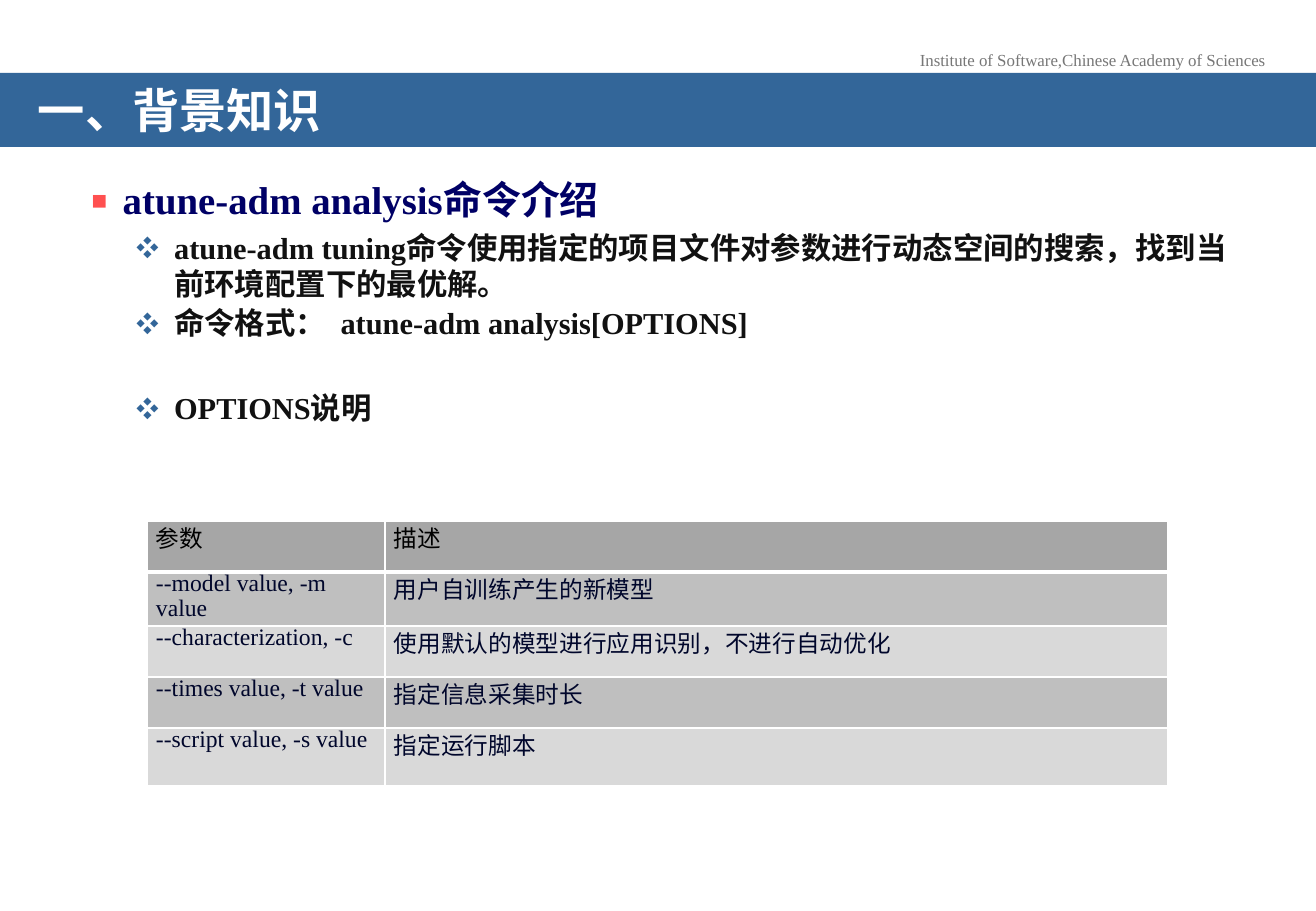
import pptx
import pptx.util
import pptx.dml.color
import pptx.enum.text
import pptx.oxml
import pptx.oxml.ns

PX = 914400 / 121.5
THEME = dict(
    latin="Times New Roman", cjk="Noto Sans CJK SC",
    label="777777", banner="336699", white="FFFFFF",
    heading="000066", text="111111", square="FF5050", diamond="336699",
    header_fill="A6A6A6", row_fills=("D9D9D9", "BFBFBF"),
    header_text="000000", cell_text="00062B",
    label_size=10, title_size=28, heading_size=23, text_size=18, cell_size=14,
)
ALIGN = pptx.enum.text.PP_ALIGN
NO_FIT = pptx.enum.text.MSO_AUTO_SIZE.NONE
rgb = pptx.dml.color.RGBColor.from_string


def px(*lengths):
    """Turn px lengths into a list of EMU lengths."""
    return [pptx.util.Emu(round(n * PX)) for n in lengths]


def add_run(p, text, size, color, bold=False, latin=THEME["latin"]):
    r = p.add_run()
    r.text = text
    r.font.size = pptx.util.Pt(size)
    r.font.bold = bold
    r.font.color.rgb = rgb(color)
    r.font.name = latin
    ea = pptx.oxml.ns.qn("a:ea")
    r.font._element.makeelement(ea)
    r.font._element.find(pptx.oxml.ns.qn("a:latin")).addnext(
        r.font._element.makeelement(ea, {"typeface": THEME["cjk"]}))
    return r


prs = pptx.Presentation()
prs.slide_width, prs.slide_height = px(1316, 911)
s = prs.slides.add_slide(prs.slide_layouts[1])

# Institute label
label = s.shapes.add_textbox(*px(906, 44, 373, 33))
label.text_frame.word_wrap = False
p = label.text_frame.paragraphs[0]
p.alignment = ALIGN.CENTER
add_run(p, "Institute of Software,Chinese Academy of Sciences",
        THEME["label_size"], THEME["label"])

# Title banner
title = s.shapes.title
title.left, title.top, title.width, title.height = px(0, 73, 1316, 74)
title.fill.solid()
title.fill.fore_color.rgb = rgb(THEME["banner"])
tf = title.text_frame
tf.auto_size = NO_FIT
tf.vertical_anchor = pptx.enum.text.MSO_ANCHOR.MIDDLE
tf.margin_left, tf.margin_top, tf.margin_right, tf.margin_bottom = px(38, 19, 38, 6)
p = tf.paragraphs[0]
p.alignment = ALIGN.LEFT
p.line_spacing = 0.7
add_run(p, "一、背景知识", THEME["title_size"], THEME["white"], True, THEME["cjk"])

# Bulleted list: level, line spacing, space before in points, text pieces
body = s.placeholders[1]
body.left, body.top, body.width, body.height = px(64, 179, 1186, 650)
tf = body.text_frame
tf.auto_size = NO_FIT
items = [
    (0, 0.8, 0, ["atune-adm analysis命令介绍"]),
    (1, 1.0, 3.8, ["atune-adm tuning命令使用指定的项目文件对参数进行动态空间的搜索，找到当前环境配置下的最优解。"]),
    (1, 0.9, 3.8, ["命令格式：", " ", "atune-adm analysis[OPTIONS]"]),
    (1, 0.9, 31, ["OPTIONS说明"]),
]
levels = [
    ("▪", THEME["square"], 120, 46, 46, THEME["heading_size"], THEME["heading"]),
    ("❖", THEME["diamond"], 75, 98, 38, THEME["text_size"], THEME["text"]),
]
for i, (level, spacing, before, pieces) in enumerate(items):
    p = tf.paragraphs[0] if i == 0 else tf.add_paragraph()
    bullet, bullet_color, percent, margin, hanging, size, color = levels[level]
    p.level = level
    p.alignment = ALIGN.LEFT
    p.line_spacing = spacing
    p.space_before = pptx.util.Pt(before)
    pPr = p._p.get_or_add_pPr()
    left, indent = px(margin, -hanging)
    pPr.set("marL", str(left))
    pPr.set("indent", str(indent))
    for xml in (f'<a:buClr %s><a:srgbClr val="{bullet_color}"/></a:buClr>',
                f'<a:buSzPct %s val="{percent * 1000}"/>',
                f'<a:buFont %s typeface="{THEME["cjk"]}"/>',
                f'<a:buChar %s char="{bullet}"/>'):
        pPr.append(pptx.oxml.parse_xml(xml % pptx.oxml.ns.nsdecls("a")))
    for piece in pieces:
        r = add_run(p, piece, size, color, True)
        if piece == " ":
            r.font._element.set("spc", "450")

# Options table
rows = [
    ("参数", "描述"),
    ("--model value, -m value", "用户自训练产生的新模型"),
    ("--characterization, -c", "使用默认的模型进行应用识别，不进行自动优化"),
    ("--times value, -t value", "指定信息采集时长"),
    ("--script value, -s value", "指定运行脚本"),
]
row_heights = px(51, 51, 51, 51, 58)
column_widths = px(238, 783)
table = s.shapes.add_table(len(rows), 2, *px(147, 521, 1021, 262)).table
for column, width in zip(table.columns, column_widths):
    column.width = width
for i, texts in enumerate(rows):
    table.rows[i].height = row_heights[i]
    for j, text in enumerate(texts):
        cell = table.cell(i, j)
        cell.margin_left, cell.margin_top, cell.margin_right, cell.margin_bottom = px(9, 0, 9, 0)
        cell.fill.solid()
        cell.fill.fore_color.rgb = rgb(THEME["row_fills"][i % 2] if i else THEME["header_fill"])
        p = cell.text_frame.paragraphs[0]
        p.alignment = ALIGN.LEFT
        p.line_spacing = 0.95
        add_run(p, text, THEME["cell_size"], THEME["cell_text"] if i else THEME["header_text"])
        tcPr = cell._tc.get_or_add_tcPr()
        for k, side in enumerate("LRTB"):
            width = 3 if (i, side) in ((0, "B"), (1, "T")) else 1
            tcPr.insert(k, pptx.oxml.parse_xml(
                f'<a:ln{side} {pptx.oxml.ns.nsdecls("a")} w="{pptx.util.Pt(width)}"><a:solidFill>'
                f'<a:srgbClr val="{THEME["white"]}"/></a:solidFill></a:ln{side}>'))

prs.save("out.pptx")
